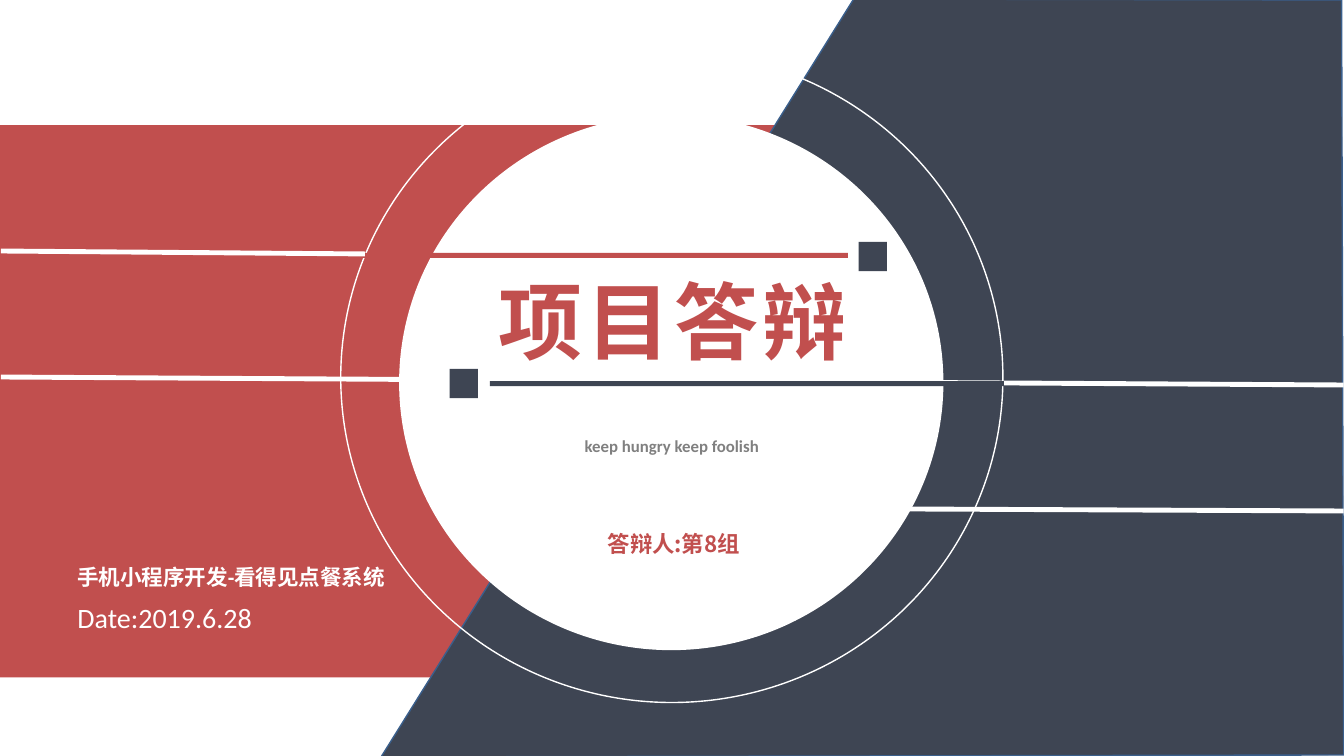
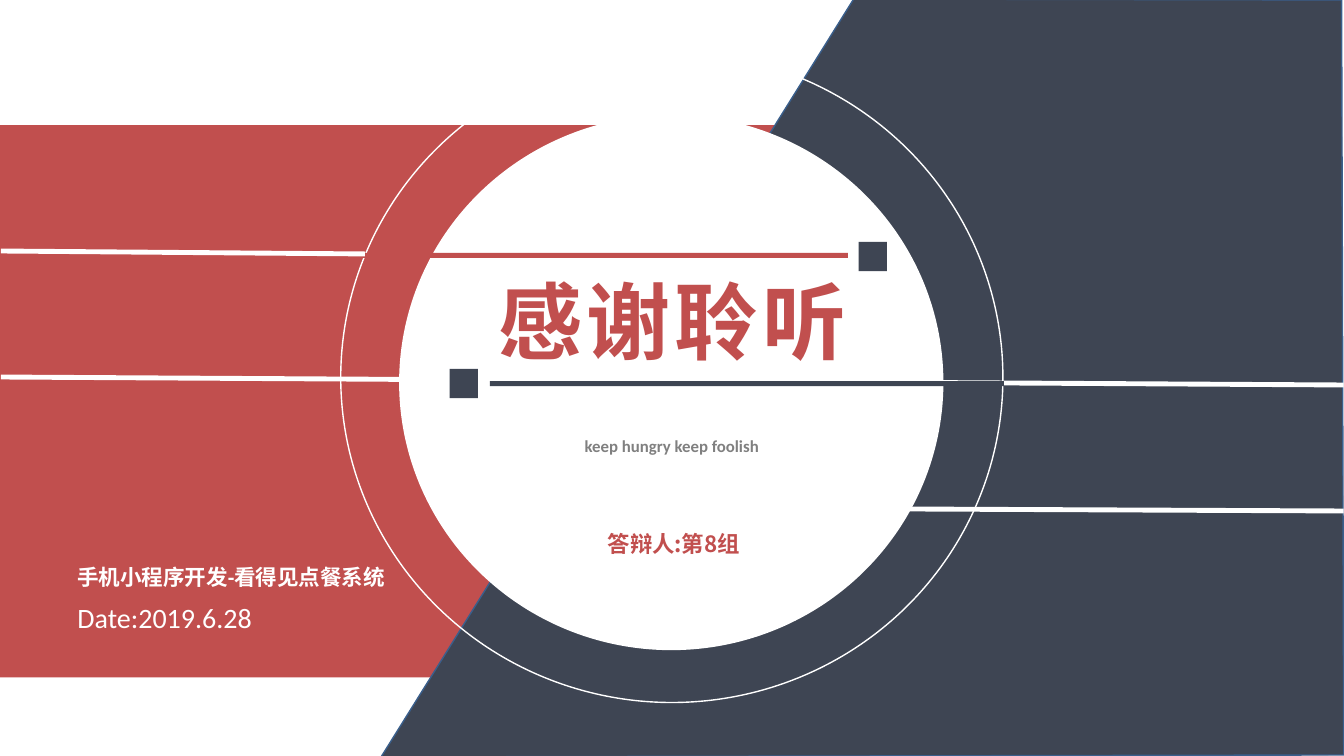
import pptx
import pptx.util
import pptx.dml.color
import pptx.enum.shapes
import pptx.enum.text
import pptx.oxml.ns
import lxml.etree
from dataclasses import dataclass

Pt = pptx.util.Pt
SHAPE = pptx.enum.shapes.MSO_SHAPE
ALIGN = pptx.enum.text.PP_ALIGN
ANCHOR = pptx.enum.text.MSO_ANCHOR
qn = pptx.oxml.ns.qn

TITLES = ["项目答辩", "感谢聆听"]
PROJECT = "手机小程序开发-看得见点餐系统"
DATE = "Date:2019.6.28"
MOTTO = "keep hungry keep foolish"
SPEAKER = "答辩人:第8组"


@dataclass(frozen=True)
class Theme:
    red: str = "C14F4E"
    slate: str = "3E4553"
    edge: str = "3A5F8C"
    white: str = "FFFFFF"
    grey: str = "808080"
    latin: str = "Calibri"
    cjk: str = "Noto Sans CJK SC"
    title: float = 60
    date: float = 20
    speaker: float = 16
    project: float = 15.4
    motto: float = 12
    thin: float = 1
    thick: float = 3.5


T = Theme()

# Points: left, top, width, height
BAND = (0, 89.3, 907.2, 394.6)
DISC = (285.1, 82.1, 388.8, 382.3)
RING = (243.4, 37.4, 473, 464.4)
SLANT = [(609.8, -0.7), (958.3, 0), (959.8, 539.3), (272.2, 540.7)]
STRIPES = [(0.7, 269.3, 959.8, 275), (504, 362.9, 959.8, 365)]
TOP_LEFT_STRIPE = (0.7, 179.3, 260.6, 181.4)
TITLE_RULES = [
    ((613.4, 172.8, 20.2, 20.9), T.slate),
    ((321.1, 263.5, 20.2, 20.9), T.slate),
    ((239.8, 180.7, 365.8, 3.6), T.red),
    ((349.9, 272.2, 367.2, 3.6), T.slate),
]


def rgb(color):
    return pptx.dml.color.RGBColor.from_string(color)


def paint(sp, fill=None, line=None):
    sp.shadow.inherit = False
    if fill:
        sp.fill.solid()
        sp.fill.fore_color.rgb = rgb(fill)
    else:
        sp.fill.background()
    if line:
        sp.line.color.rgb = rgb(line)
        sp.line.width = Pt(T.thin)
    else:
        sp.line.fill.background()


def add_shape(s, kind, box, **colors):
    paint(s.shapes.add_shape(kind, *map(Pt, box)), **colors)


def add_slant(s):
    start, *rest = [(Pt(x), Pt(y)) for x, y in SLANT]
    builder = s.shapes.build_freeform(*start)
    builder.add_line_segments(rest, close=True)
    paint(builder.convert_to_shape(), fill=T.slate, line=T.edge)


def add_stripe(s, ends):
    straight = pptx.enum.shapes.MSO_CONNECTOR.STRAIGHT
    line = s.shapes.add_connector(straight, *map(Pt, ends))
    line.line.color.rgb = rgb(T.white)
    line.line.width = Pt(T.thick)
    lxml.etree.SubElement(line._element.spPr, qn("a:effectLst"))


def add_text(s, text, box, size, color, font=T.latin, bold=True,
             align=ALIGN.CENTER, spacing=None, tracking=0, grow=False):
    """Add one line of text; grow keeps it centred as its box expands."""
    tf = s.shapes.add_textbox(*map(Pt, box)).text_frame
    tf.word_wrap = True
    if grow:
        tf.auto_size = pptx.enum.text.MSO_AUTO_SIZE.SHAPE_TO_FIT_TEXT
        tf.vertical_anchor = ANCHOR.MIDDLE
    p = tf.paragraphs[0]
    p.alignment = align
    if spacing:
        p.line_spacing = spacing
    r = p.add_run()
    r.text = text
    r.font.size = Pt(size)
    r.font.bold = bold
    r.font.name = font
    r.font.color.rgb = rgb(color)
    rpr = r.font._element
    lxml.etree.SubElement(rpr, qn("a:ea")).set("typeface", T.cjk)
    if tracking:
        rpr.set("spc", str(tracking * 100))


def add_backdrop(s):
    add_shape(s, SHAPE.RECTANGLE, BAND, fill=T.red)
    add_slant(s)
    add_shape(s, SHAPE.OVAL, DISC, fill=T.white)
    add_shape(s, SHAPE.OVAL, RING, line=T.white)


def add_captions(s):
    add_text(s, PROJECT, (48.2, 404.6, 295.9, 23), T.project, T.white,
             align=ALIGN.LEFT, spacing=0.7)
    add_text(s, DATE, (48.2, 428.4, 295.9, 23), T.date, T.white,
             bold=False, align=ALIGN.LEFT, spacing=0.9)
    add_text(s, SPEAKER, (397.4, 375.1, 167.8, 26.6), T.speaker, T.red,
             font=T.cjk, grow=True)
    add_text(s, MOTTO, (324, 303.1, 311.8, 24.5), T.motto, T.grey, spacing=1.3)


def add_title(s, title):
    for ends in STRIPES:
        add_stripe(s, ends)
    add_text(s, title, (335.5, 188.6, 290.2, 79.9), T.title, T.red,
             font=T.cjk, tracking=3, grow=True)
    for box, color in TITLE_RULES:
        add_shape(s, SHAPE.RECTANGLE, box, fill=color)
    add_stripe(s, TOP_LEFT_STRIPE)


def main():
    prs = pptx.Presentation()
    prs.slide_width, prs.slide_height = Pt(960), Pt(540)
    for title in TITLES:
        s = prs.slides.add_slide(prs.slide_layouts[6])
        add_backdrop(s)
        add_captions(s)
        add_title(s, title)
    prs.save("out.pptx")


if __name__ == "__main__":
    main()
